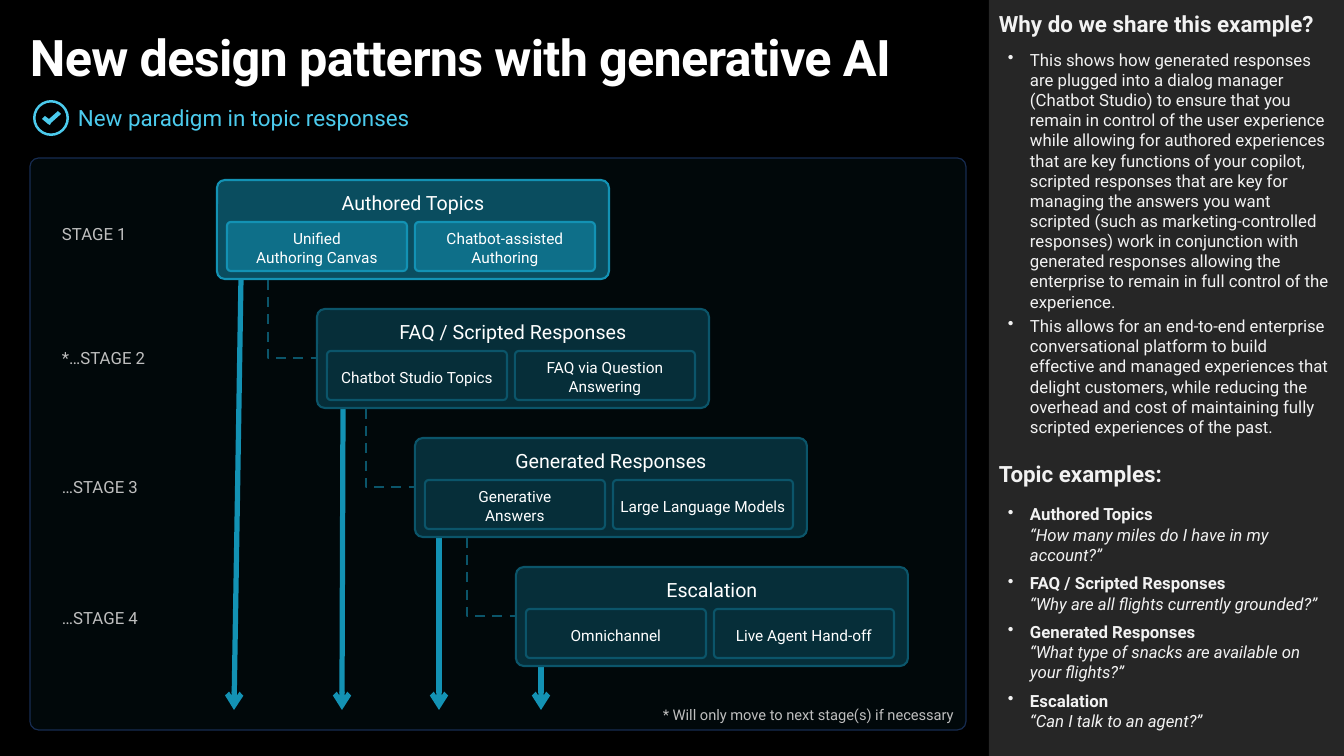
from lxml import etree
from pptx import Presentation
from pptx.dml.color import RGBColor
from pptx.enum.dml import MSO_LINE
from pptx.enum.shapes import MSO_CONNECTOR, MSO_SHAPE
from pptx.enum.text import MSO_ANCHOR, PP_ALIGN
from pptx.oxml.ns import qn
from pptx.util import Emu, Pt

STRAIGHT, ELBOW = MSO_CONNECTOR.STRAIGHT, MSO_CONNECTOR.ELBOW
RECT, ROUNDED, DONUT = MSO_SHAPE.RECTANGLE, MSO_SHAPE.ROUNDED_RECTANGLE, MSO_SHAPE.DONUT
LEFT, CENTER, RIGHT = PP_ALIGN.LEFT, PP_ALIGN.CENTER, PP_ALIGN.RIGHT
TOP, MIDDLE = MSO_ANCHOR.TOP, MSO_ANCHOR.MIDDLE
DASH = MSO_LINE.DASH
FONT = "Roboto"
WHITE, PALE, GREY = "FFFFFF", "F2F2F2", "BFBFBF"
SKY, TEAL, DIM_TEAL, DEEP_TEAL = "4CCBED", "1392B4", "0B556A", "062E39"

CARD_W, CARD_H, CARD_STEP = 392, 99, 129

# label, label top, card left, card title, topics, arrow start x, arrow end x
STAGES = [
    ("STAGE 1", 224, 217, "Authored Topics",
     ("Unified\vAuthoring Canvas", "Chatbot-assisted Authoring"), 241, 234),
    ("*…STAGE 2", 348, 317, "FAQ / Scripted Responses",
     ("Chatbot Studio Topics", "FAQ via Question Answering"), 343, 342),
    ("…STAGE 3", 477, 415, "Generated Responses",
     ("Generative\vAnswers", "Large Language Models"), 439, 439),
    ("…STAGE 4", 608, 516, "Escalation",
     ("Omnichannel", "Live Agent Hand-off"), 541, 541),
]
REASONS = [
    "This shows how generated responses are plugged into a dialog manager "
    "(Chatbot Studio) to ensure that you remain in control of the user experience "
    "while allowing for authored experiences that are key functions of your copilot, "
    "scripted responses that are key for managing the answers you want scripted "
    "(such as marketing-controlled responses) work in conjunction with generated "
    "responses allowing the enterprise to remain in full control of the experience.",
    "This allows for an end-to-end enterprise conversational platform to build "
    "effective and managed experiences that delight customers, while reducing the "
    "overhead and cost of maintaining fully scripted experiences of the past.",
]
EXAMPLES = [
    ("Authored Topics", "“How many miles do I have in my account?”"),
    ("FAQ / Scripted Responses", "“Why are all flights currently grounded?”"),
    ("Generated Responses", "“What type of snacks are available on your flights?”"),
    ("Escalation", "“Can I talk to an agent?”"),
]


def px(length):
    return Emu(round(length * 12192000 / 1344))


def rgb(hex_color):
    return RGBColor.from_string(hex_color)


def style_run(run, size, color, bold=False, italic=False):
    font = run.font
    font.name, font.size, font.bold, font.italic = FONT, Pt(size), bold, italic
    font.color.rgb = rgb(color)


def set_text(shape, text, size, color, align=LEFT, anchor=TOP, top_inset=0, bold=False):
    frame = shape.text_frame
    frame.word_wrap, frame.vertical_anchor = True, anchor
    frame.margin_left = frame.margin_right = frame.margin_bottom = 0
    frame.margin_top = px(top_inset)
    frame.text = text
    paragraph = frame.paragraphs[0]
    paragraph.alignment = align
    for run in paragraph.runs:
        style_run(run, size, color, bold)


def add_label(slide, box, text, size, color, **options):
    label = slide.shapes.add_textbox(*map(px, box))
    set_text(label, text, size, color, **options)
    return label


def paint(shape, fill, alpha=None, line=None, line_width=1.5):
    shape.shadow.inherit = False
    shape.fill.solid()
    shape.fill.fore_color.rgb = rgb(fill)
    if alpha:
        color = shape.fill._xPr.find(qn("a:solidFill"))[0]
        etree.SubElement(color, qn("a:alpha")).set("val", str(alpha * 1000))
    if line:
        shape.line.color.rgb = rgb(line)
        shape.line.width = Pt(line_width)
    else:
        shape.line.fill.background()


def add_box(slide, kind, box, fill, adjust=None, **options):
    shape = slide.shapes.add_shape(kind, *map(px, box))
    if adjust is not None:
        shape.adjustments[0] = adjust
    paint(shape, fill, **options)
    return shape


def add_line(slide, kind, ends, color, width):
    line = slide.shapes.add_connector(kind, *map(px, ends))
    line.line.color.rgb = rgb(color)
    line.line.width = Pt(width)
    etree.SubElement(line._element.spPr, qn("a:effectLst"))
    return line


def add_arrow(slide, ends):
    arrow = add_line(slide, STRAIGHT, ends, TEAL, 3.75)
    etree.SubElement(arrow.line._get_or_add_ln(), qn("a:tailEnd")).set("type", "arrow")


def add_dashed_step(slide, x, y, run, drop):
    """Goes down by drop, then right by run: a one-bend elbow turned by 270 degrees."""
    center_x, center_y = x + run / 2, y + drop / 2
    step = add_line(slide, ELBOW, (center_x + drop / 2, center_y - run / 2,
                                   center_x - drop / 2, center_y + run / 2), DIM_TEAL, 1.75)
    step.line.dash_style = DASH
    properties = step._element.spPr
    properties.find(qn("a:xfrm")).set("rot", "16200000")
    properties.find(qn("a:prstGeom")).set("prst", "bentConnector2")


def add_header(slide, left, top, width):
    title = add_label(slide, (left, top, width, 61),
                      "New design patterns with generative AI", 36, WHITE, bold=True)
    title.text_frame.paragraphs[0].runs[0].font._element.set("spc", "-50")
    add_label(slide, (left + 48, top + 78, width - 48, 27),
              "New paradigm in topic responses", 16, SKY, anchor=MIDDLE)
    # Check mark in a ring
    ring_left, ring_top = left + 3, top + 74
    add_box(slide, DONUT, (ring_left, ring_top, 36, 36), SKY, adjust=0.07)
    outline = [(25, 11), (16, 19), (12, 16), (9, 19), (15, 24), (17, 25), (18, 23), (28, 14)]
    points = [(px(ring_left + x), px(ring_top + y)) for x, y in outline]
    check = slide.shapes.build_freeform(*points[0])
    check.add_line_segments(points[1:], close=True)
    paint(check.convert_to_shape(), SKY)


def add_card(slide, left, top, title, topics, active):
    look = (dict(fill=TEAL, alpha=50, line=TEAL) if active
            else dict(fill=DEEP_TEAL, line=DIM_TEAL))
    card = add_box(slide, ROUNDED, (left, top, CARD_W, CARD_H), adjust=0.08, **look)
    set_text(card, title, 14, WHITE, align=CENTER, top_inset=9)
    for column, topic in enumerate(topics):
        box = (left + 10 + 188 * column, top + 42, 180, 49)
        cell = add_box(slide, ROUNDED, box, adjust=0.08, **look)
        set_text(cell, topic, 11, WHITE, align=CENTER, anchor=MIDDLE, top_inset=3)


def add_stages(slide, left, top, width, height):
    add_box(slide, ROUNDED, (left, top, width, height), "17AAD2", adjust=0.015,
            alpha=5, line="172C51", line_width=0.85)
    for index, (label, label_top, card_left, title, topics, x0, x1) in enumerate(STAGES):
        card_top = top + 22 + CARD_STEP * index
        card_bottom = card_top + CARD_H
        add_arrow(slide, (x0, card_bottom + 1, x1, top + height - 20))
        add_card(slide, card_left, card_top, title, topics, active=index == 0)
        if index:
            add_dashed_step(slide, card_left - 49, card_top - 29, 49, 78)
        add_label(slide, (left + 32, label_top, 145, 20), label, 12, GREY)
    add_label(slide, (left + width - 346, top + height - 24, 334, 18),
              "* Will only move to next stage(s) if necessary", 10.5, GREY, align=RIGHT)


def add_sidebar(slide, left, top, width, height):
    add_box(slide, RECT, (left, top, width, height), "262626")
    frame = slide.shapes.add_textbox(*map(px, (left, top, width, height))).text_frame
    frame.word_wrap = True
    frame.margin_left = frame.margin_right = frame.margin_top = frame.margin_bottom = px(10)

    def add_heading(paragraph, text):
        paragraph.text = text
        paragraph.space_after = Pt(6)
        style_run(paragraph.runs[0], 16, PALE, bold=True)

    def add_bullet(text, space_before):
        paragraph = frame.add_paragraph()
        properties = paragraph._p.get_or_add_pPr()
        properties.set("marL", str(px(31)))
        properties.set("indent", str(-px(22)))
        etree.SubElement(properties, qn("a:buChar")).set("char", "•")
        paragraph.text = text
        paragraph.space_before = Pt(space_before)
        return paragraph.runs

    add_heading(frame.paragraphs[0], "Why do we share this example?")
    for reason in REASONS:
        style_run(add_bullet(reason, 3)[0], 12, PALE)
    examples_heading = frame.add_paragraph()
    examples_heading.space_before = Pt(17)
    add_heading(examples_heading, "Topic examples:")
    for topic, question in EXAMPLES:
        topic_run, question_run = add_bullet(f"{topic}\v{question}", 6)
        style_run(topic_run, 12, PALE, bold=True)
        style_run(question_run, 12, PALE, italic=True)


def main():
    deck = Presentation()
    deck.slide_width, deck.slide_height = px(1344), px(756)
    slide = deck.slides.add_slide(deck.slide_layouts[6])
    slide.background.fill.solid()
    slide.background.fill.fore_color.rgb = rgb("000000")
    add_sidebar(slide, 989, 0, 355, 756)
    add_header(slide, 30, 26, 928)
    add_stages(slide, 30, 158, 936, 572)
    deck.save("out.pptx")


if __name__ == "__main__":
    main()
